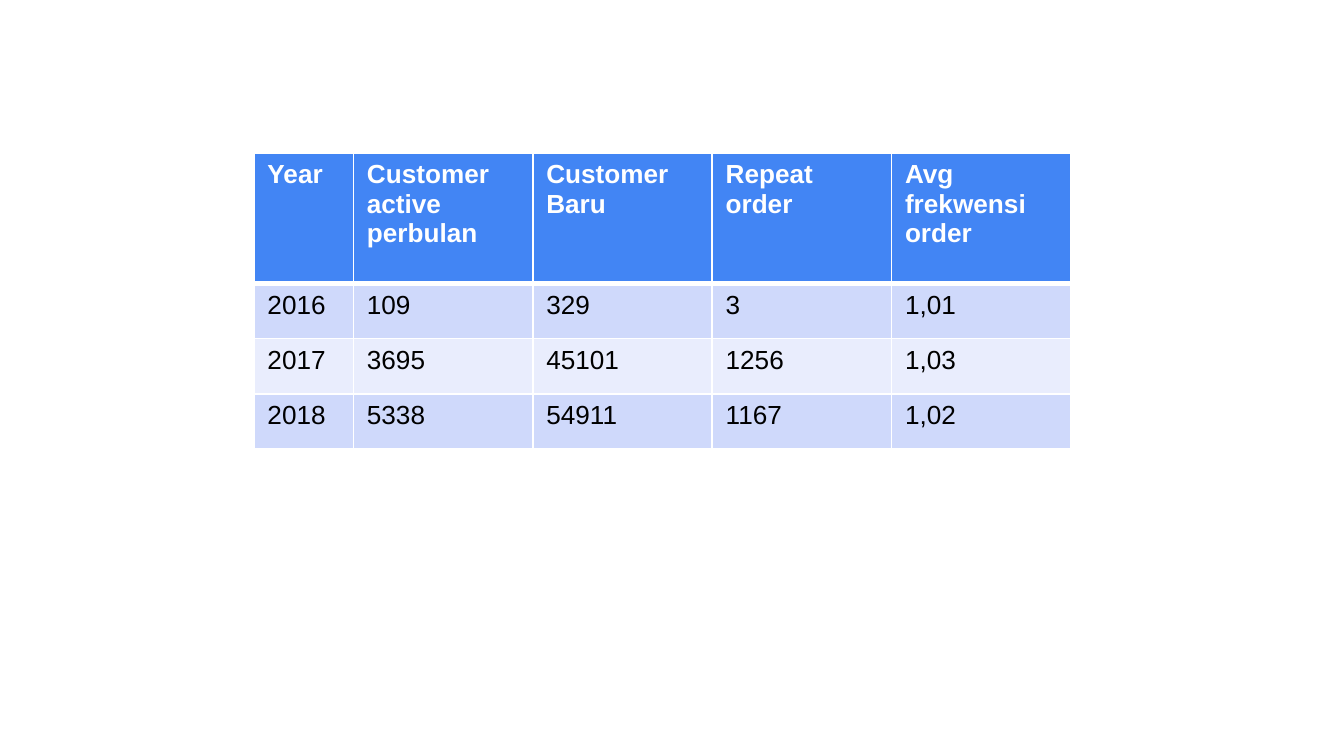
"""Build a slide with a yearly customer and order table."""
from lxml import etree
from pptx import Presentation
from pptx.dml.color import RGBColor
from pptx.oxml.ns import qn
from pptx.util import Inches, Pt

WHITE = RGBColor(0xFF, 0xFF, 0xFF)
BLACK = RGBColor(0x00, 0x00, 0x00)
BLUE = RGBColor(0x42, 0x85, 0xF4)
BANDS = (RGBColor(0xCF, 0xD9, 0xFB), RGBColor(0xE9, 0xED, 0xFD))

ROWS = [
    ("Year", "Customer active perbulan", "Customer Baru", "Repeat order", "Avg frekwensi order"),
    ("2016", "109", "329", "3", "1,01"),
    ("2017", "3695", "45101", "1256", "1,03"),
    ("2018", "5338", "54911", "1167", "1,02"),
]
TABLE_WIDTH, YEAR_WIDTH = 6.08, 0.74
COL_WIDTHS = [YEAR_WIDTH] + [(TABLE_WIDTH - YEAR_WIDTH) / 4] * 4
ROW_HEIGHTS = [0.97] + [0.41] * 3


def set_borders(cell, **widths):
    """Draw white cell borders with widths in points, keyed by side."""
    tc_pr = cell._tc.get_or_add_tcPr()
    for side in "LRTB":
        ln = etree.SubElement(tc_pr, qn(f"a:ln{side}"), w=str(Pt(widths.get(side, 1))))
        fill = etree.SubElement(ln, qn("a:solidFill"))
        etree.SubElement(fill, qn("a:srgbClr"), val=str(WHITE))


def fill_cell(cell, value, row):
    """Write and style one cell according to its row."""
    header = row == 0
    set_borders(cell, T=3 if row == 1 else 1, B=3 if header else 1)
    cell.fill.solid()
    cell.fill.fore_color.rgb = BLUE if header else BANDS[(row - 1) % 2]
    cell.text = value
    font = cell.text_frame.paragraphs[0].font
    font.name, font.size, font.bold = "Arial", Pt(14), header
    font.color.rgb = WHITE if header else BLACK


def add_customer_table(s):
    """Add the table of customers and orders per year."""
    table = s.shapes.add_table(
        len(ROWS), len(COL_WIDTHS), Inches(1.89), Inches(1.14),
        Inches(TABLE_WIDTH), Inches(sum(ROW_HEIGHTS))).table
    for column, width in zip(table.columns, COL_WIDTHS):
        column.width = Inches(width)
    for row, height in zip(table.rows, ROW_HEIGHTS):
        row.height = Inches(height)
    for i, values in enumerate(ROWS):
        for j, value in enumerate(values):
            fill_cell(table.cell(i, j), value, i)


def main():
    """Create and save the presentation."""
    prs = Presentation()
    prs.slide_width = Inches(10)
    prs.slide_height = prs.slide_width * 9 // 16
    s = prs.slides.add_slide(prs.slide_layouts[6])
    add_customer_table(s)
    prs.save("out.pptx")


if __name__ == "__main__":
    main()
